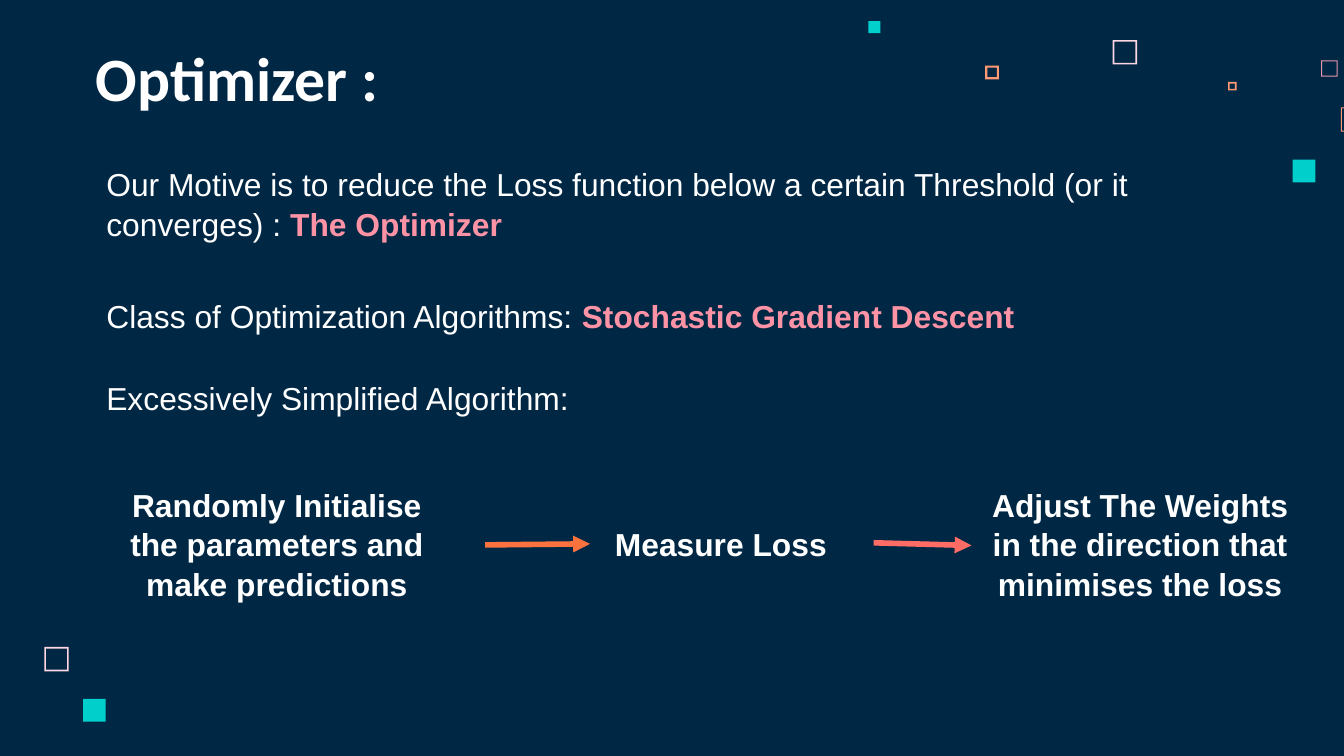
from dataclasses import dataclass

import pptx
import pptx.dml.color
import pptx.enum.shapes
import pptx.enum.text
import pptx.oxml
import pptx.oxml.ns
import pptx.util
from pptx.util import Cm

COLORS = {
    "navy": "002845", "white": "FFFFFF", "pink": "FF93A6", "teal": "00CFCC",
    "blush": "FFD6E1", "rose": "E898AC", "peach": "FF9973",
    "orange": "FC723F", "coral": "FF6B65",
}


@dataclass
class Square:
    left: float
    top: float
    size: float
    color: str
    border: float = 0  # zero means a solid square


@dataclass
class Block:
    left: float
    top: float
    width: float
    height: float
    text: str
    accent: str = ""
    step: bool = False


@dataclass
class Arrow:
    start: tuple[float, float]
    end: tuple[float, float]
    color: str


# All lengths are in centimetres
SQUARES = [
    Square(21.03, 0.76, 0.46, "blush", 0.03),
    Square(24.97, 1.14, 0.31, "rose", 0.02),
    Square(23.21, 1.55, 0.16, "peach", 0.03),
    Square(25.34, 2.03, 0.46, "peach", 0.02),
    Square(24.43, 3.02, 0.43, "teal"),
    Square(18.62, 1.24, 0.26, "peach", 0.04),
    Square(16.41, 0.4, 0.23, "teal"),
    Square(0.84, 12.23, 0.46, "blush", 0.03),
    Square(1.57, 13.21, 0.43, "teal"),
]
BLOCKS = [
    Block(1.76, 2.84, 21.89, 1.96,
          "Our Motive is to reduce the Loss function below a certain "
          "Threshold (or it converges) : ", "The Optimizer"),
    Block(1.76, 5.34, 18.47, 1.24, "Class of Optimization Algorithms: ",
          "Stochastic Gradient Descent"),
    Block(1.76, 6.88, 11.53, 1.24, "Excessively Simplified Algorithm:"),
    Block(1.73, 8.93, 7.01, 2.69,
          "Randomly Initialise the parameters and make predictions", step=True),
    Block(11.15, 8.93, 4.95, 2.69, "Measure Loss", step=True),
    Block(18.36, 8.93, 6.38, 2.69,
          "Adjust The Weights in the direction that minimises the loss",
          step=True),
]
ARROWS = [
    Arrow((9.17, 10.3), (11.15, 10.28), "orange"),
    Arrow((16.51, 10.26), (18.36, 10.31), "coral"),
]


def rgb(name: str) -> pptx.dml.color.RGBColor:
    return pptx.dml.color.RGBColor.from_string(COLORS[name])


def add_span(para, text: str, *, size: float = 17, font: str = "Arial",
             color: str = "white", bold: bool = False) -> None:
    span = para.add_run()
    span.text = text
    span.font.size = pptx.util.Pt(size)
    span.font.name = font
    span.font.bold = bold
    span.font.color.rgb = rgb(color)


def format_frame(frame, anchor) -> None:
    frame.word_wrap = True
    frame.auto_size = pptx.enum.text.MSO_AUTO_SIZE.NONE
    frame.vertical_anchor = anchor
    frame.margin_left = frame.margin_right = Cm(0.25)
    frame.margin_top = frame.margin_bottom = Cm(0.25)


def draw_square(page, square: Square) -> None:
    kinds = pptx.enum.shapes.MSO_SHAPE
    kind = kinds.FRAME if square.border else kinds.RECTANGLE
    shape = page.shapes.add_shape(kind, Cm(square.left), Cm(square.top),
                                  Cm(square.size), Cm(square.size))
    if square.border:
        shape.adjustments[0] = square.border / square.size
    shape.shadow.inherit = False
    shape.fill.solid()
    shape.fill.fore_color.rgb = rgb(square.color)
    shape.line.fill.background()


def draw_title(page, text: str) -> None:
    title = page.shapes.title
    title.left, title.top = Cm(1.56), Cm(0.51)
    title.width, title.height = Cm(11.45), Cm(1.93)
    format_frame(title.text_frame, pptx.enum.text.MSO_ANCHOR.TOP)
    para = title.text_frame.paragraphs[0]
    para.alignment = pptx.enum.text.PP_ALIGN.LEFT
    add_span(para, text, size=33, font="Calibri", bold=True)


def draw_block(page, block: Block) -> None:
    box = page.shapes.add_textbox(Cm(block.left), Cm(block.top),
                                  Cm(block.width), Cm(block.height))
    anchors = pptx.enum.text.MSO_ANCHOR
    format_frame(box.text_frame, anchors.MIDDLE if block.step else anchors.TOP)
    para = box.text_frame.paragraphs[0]
    aligns = pptx.enum.text.PP_ALIGN
    para.alignment = aligns.CENTER if block.step else aligns.LEFT
    para.line_spacing = 1.04
    add_span(para, block.text, bold=block.step)
    if block.accent:
        add_span(para, block.accent, color="pink", bold=True)


def draw_arrow(page, arrow: Arrow) -> None:
    line = page.shapes.add_connector(
        pptx.enum.shapes.MSO_CONNECTOR.STRAIGHT,
        *map(Cm, arrow.start), *map(Cm, arrow.end))
    line.line.color.rgb = rgb(arrow.color)
    line.line.width = pptx.util.Pt(3)
    namespace = pptx.oxml.ns.nsdecls("a")
    line.line._get_or_add_ln().append(
        pptx.oxml.parse_xml(f'<a:tailEnd {namespace} type="triangle"/>'))
    line._element.spPr.append(
        pptx.oxml.parse_xml(f"<a:effectLst {namespace}/>"))


def main() -> None:
    deck = pptx.Presentation()
    deck.slide_width, deck.slide_height = Cm(25.4), Cm(14.29)
    page = deck.slides.add_slide(deck.slide_layouts.get_by_name("Title Only"))
    page.background.fill.solid()
    page.background.fill.fore_color.rgb = rgb("navy")

    # Scattered squares
    for square in SQUARES:
        draw_square(page, square)

    # Title, statements and algorithm steps
    draw_title(page, "Optimizer :")
    for block in BLOCKS:
        draw_block(page, block)

    # Arrows between the steps
    for arrow in ARROWS:
        draw_arrow(page, arrow)

    deck.save("out.pptx")


if __name__ == "__main__":
    main()
